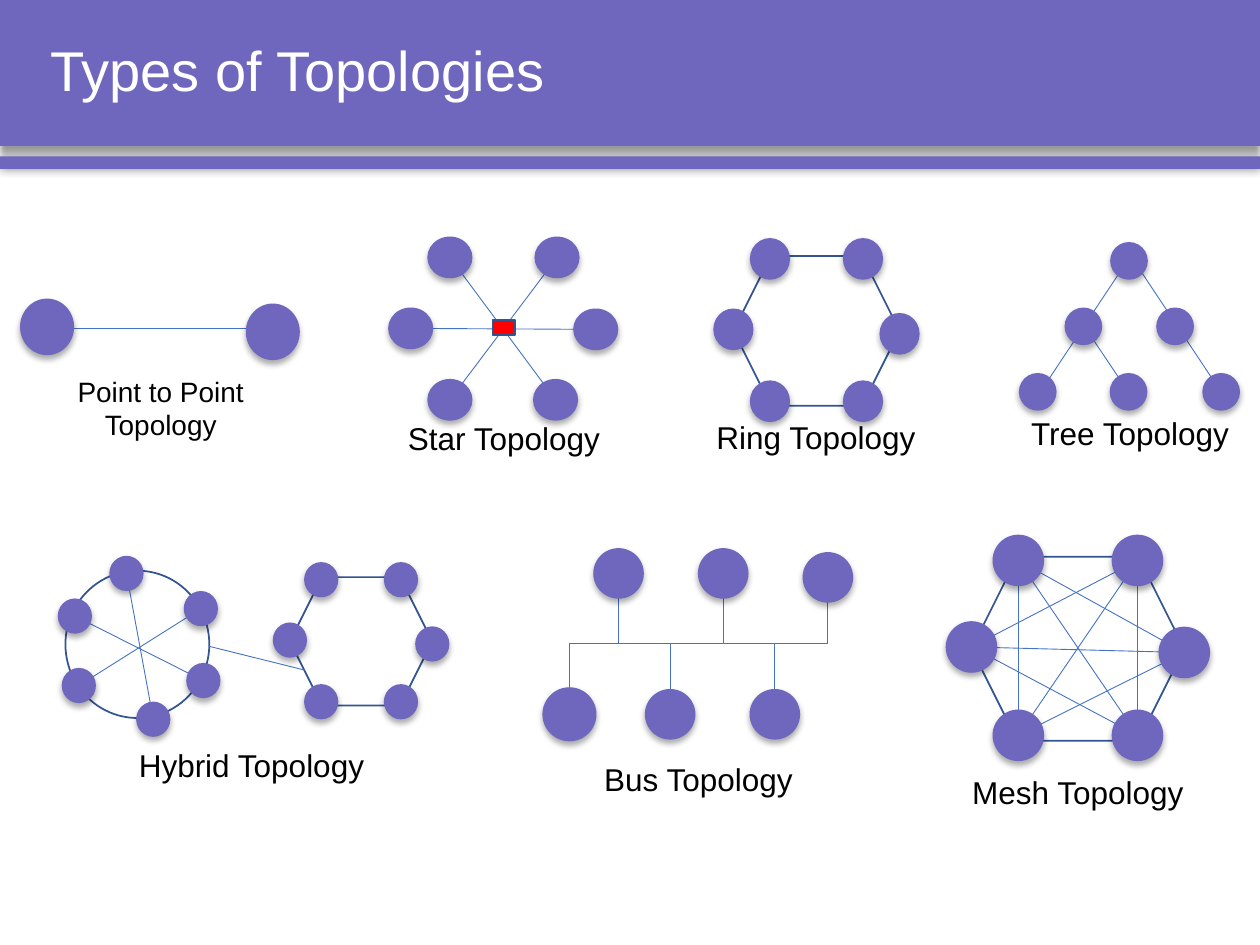
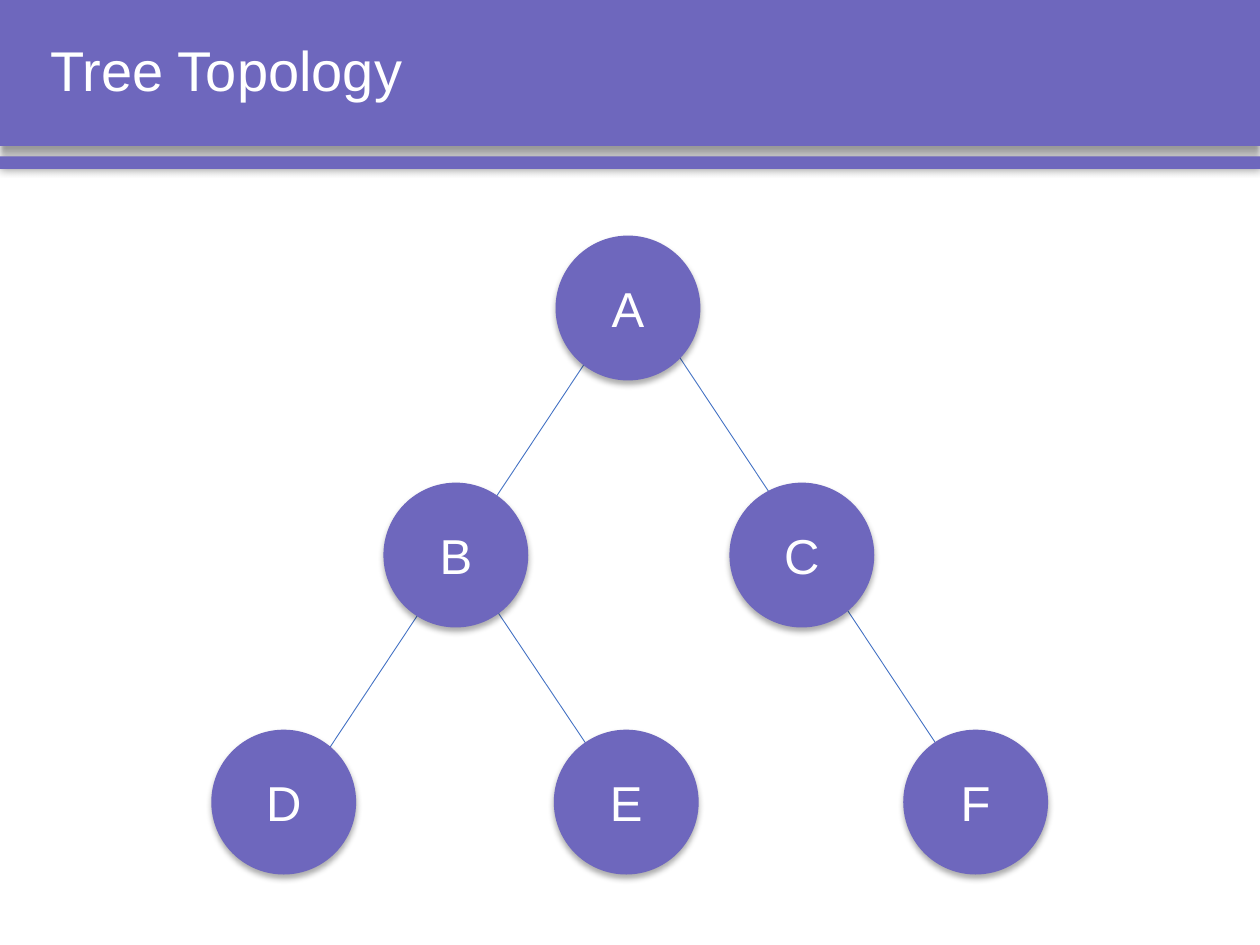
from dataclasses import dataclass
from itertools import combinations

from lxml import etree
from pptx import Presentation
from pptx import util as u
from pptx.dml.color import RGBColor
from pptx.enum import shapes, text
from pptx.oxml import ns


@dataclass(frozen=True)
class Theme:
    purple: str = "6E67BD"
    white: str = "FFFFFF"
    black: str = "000000"
    red: str = "FF0000"
    link: str = "4472C4"
    outline: str = "325491"
    font: str = "Arial"
    title_size: int = 32
    letter_size: int = 28
    label_size: int = 18
    small_label_size: int = 16
    # shadows: opacity %, blur pt, distance pt, direction in degrees
    band_shadow: tuple = (40, 4, 3, 90)
    stripe_shadow: tuple = (40, 5, 0, 0)
    node_shadow: tuple = (32, 3.5, 2.2, 90)


theme = Theme()
RECTANGLE = shapes.MSO_SHAPE.RECTANGLE
OVAL = shapes.MSO_SHAPE.OVAL
HEXAGON = shapes.MSO_SHAPE.HEXAGON
CENTER, LEFT = text.PP_ALIGN.CENTER, text.PP_ALIGN.LEFT


def add_figure(slide, kind, centre, size, fill=None, line=None, shadow=None,
               words="", points=18, color=theme.white, align=CENTER, spacing=1.0):
    """Place a shape by its centre and size in cm, with optional text."""
    left, top = (c - s / 2 for c, s in zip(centre, size))
    shape = slide.shapes.add_shape(kind, u.Cm(left), u.Cm(top), u.Cm(size[0]), u.Cm(size[1]))
    if fill:
        shape.fill.solid()
        shape.fill.fore_color.rgb = RGBColor.from_string(fill)
    else:
        shape.fill.background()
    if line:
        shape.line.color.rgb = RGBColor.from_string(line)
        shape.line.width = u.Pt(1)
    else:
        shape.line.fill.background()
    shape.shadow.inherit = False
    if shadow:
        opacity, blur, distance, direction = shadow
        effects = shape._element.spPr.find(ns.qn("a:effectLst"))
        outer = etree.SubElement(
            effects, ns.qn("a:outerShdw"), blurRad=str(u.Pt(blur)), dist=str(u.Pt(distance)),
            dir=str(direction * 60000), algn="ctr", rotWithShape="0")
        shade = etree.SubElement(outer, ns.qn("a:srgbClr"), val=theme.black)
        etree.SubElement(shade, ns.qn("a:alpha"), val=str(opacity * 1000))
    if words:
        frame = shape.text_frame
        frame.word_wrap = True
        frame.vertical_anchor = text.MSO_ANCHOR.MIDDLE
        paragraph = frame.paragraphs[0]
        paragraph.text = words
        paragraph.font.color.rgb = RGBColor.from_string(color)
        formats = {paragraph: {"alignment": align, "line_spacing": spacing},
                   paragraph.font: {"name": theme.font, "size": u.Pt(points)}}
        for target, values in formats.items():
            for name, value in values.items():
                setattr(target, name, value)
    return shape


def add_link(slide, start, end):
    """Draw a thin straight link between two points in cm."""
    ends = [u.Cm(value) for value in (*start, *end)]
    connector = slide.shapes.add_connector(shapes.MSO_CONNECTOR.STRAIGHT, *ends)
    connector.line.color.rgb = RGBColor.from_string(theme.link)
    connector.line.width = u.Pt(0.5)
    etree.SubElement(connector._element.spPr, ns.qn("a:effectLst"))


node_style = {"fill": theme.purple, "shadow": theme.node_shadow}

presentation = Presentation()
presentation.slide_width, presentation.slide_height = u.Cm(25.4), u.Cm(19.05)

# Slides with the shared header bands and title
slides = []
for title in ("Types of Topologies", "Tree Topology"):
    slide = presentation.slides.add_slide(presentation.slide_layouts[6])
    add_figure(slide, RECTANGLE, (12.7, 1.47), (25.4, 2.95), theme.purple,
               shadow=theme.band_shadow)
    add_figure(slide, RECTANGLE, (12.7, 3.28), (25.4, 0.25), theme.purple,
               shadow=theme.stripe_shadow)
    add_figure(slide, RECTANGLE, (12.78, 1.47), (24.03, 2.95), words=title,
               points=theme.title_size, align=LEFT, spacing=0.9)
    slides.append(slide)
overview, tree_slide = slides

# Labels under the diagrams
labels = [
    ("Point to Point Topology", (3.24, 8.22), 5.87, theme.small_label_size),
    ("Star Topology", (10.16, 8.83), 4.67, theme.label_size),
    ("Ring Topology", (16.45, 8.8), 4.65, theme.label_size),
    ("Tree Topology", (22.78, 8.72), 4.67, theme.label_size),
    ("Hybrid Topology", (5.07, 15.43), 5.21, theme.label_size),
    ("Bus Topology", (14.08, 15.71), 5.21, theme.label_size),
    ("Mesh Topology", (21.73, 15.96), 5.21, theme.label_size),
]
for words, centre, width, points in labels:
    add_figure(overview, RECTANGLE, centre, (width, 1.09), theme.white,
               words=words, points=points, color=theme.black)

# Point to point
add_link(overview, (0.95, 6.63), (5.5, 6.63))
for centre in ((0.95, 6.59), (5.5, 6.69)):
    add_figure(overview, OVAL, centre, (1.09, 1.14), **node_style)

# Star, and the wheel of the hybrid: links join opposite nodes
star_nodes = [(9.07, 5.19), (11.23, 5.19), (12.01, 6.64),
              (11.2, 8.06), (9.07, 8.06), (8.28, 6.62)]
wheel_nodes = [(2.55, 11.56), (4.05, 12.27), (4.1, 13.72),
               (3.09, 14.5), (1.59, 13.82), (1.51, 12.42)]
add_figure(overview, OVAL, (2.77, 12.99), (2.9, 2.97), line=theme.outline)
for nodes, node_size in ((star_nodes, (0.91, 0.84)), (wheel_nodes, (0.69, 0.71))):
    for start, end in zip(nodes[:3], nodes[3:]):
        add_link(overview, start, end)
    for centre in nodes:
        add_figure(overview, OVAL, centre, node_size, **node_style)
add_figure(overview, RECTANGLE, (10.16, 6.6), (0.46, 0.3), theme.red, theme.outline)

# Ring, ring of the hybrid, and mesh: nodes as fractions of the hexagon
corners = [(0.22, 0.02), (0.78, 0.02), (1, 0.52), (0.78, 0.97), (0.22, 0.97), (0, 0.49)]
hexagons = [  # centre, size, node size, meshed
    ((16.46, 6.67), (3.35, 3.02), (0.81, 0.84), False),
    ((7.28, 12.93), (2.87, 2.59), (0.69, 0.71), False),
    ((21.73, 13.08), (4.29, 3.71), (1.04, 1.04), True),
]
for centre, size, node_size, meshed in hexagons:
    add_figure(overview, HEXAGON, centre, size, line=theme.outline)
    nodes = [tuple(c + (f - 0.5) * s for c, f, s in zip(centre, corner, size))
             for corner in corners]
    for first, second in combinations(range(6), 2):
        if meshed and second - first not in (1, 5):
            add_link(overview, nodes[first], nodes[second])
    for node in nodes:
        add_figure(overview, OVAL, node, node_size, **node_style)

# Link between the two halves of the hybrid
add_link(overview, (4.22, 13.03), (6.15, 13.51))

# Bus: backbone with a drop to each node
backbone = 12.98
bus_nodes = [(12.47, 11.56, 1.02), (14.58, 11.56, 1.02), (16.69, 11.64, 1.02),
             (11.48, 14.4, 1.09), (13.51, 14.4, 1.02), (15.62, 14.4, 1.02)]
add_link(overview, (11.48, backbone), (16.69, backbone))
for x, y, diameter in bus_nodes:
    add_link(overview, (x, backbone), (x, y))
    add_figure(overview, OVAL, (x, y), (diameter, diameter), **node_style)

# Tree, small and large: nodes and branches in steps from the root
tree_nodes = {"A": (0, 0), "B": (-1, 1), "C": (1.01, 1),
              "D": (-2, 2), "E": (-0.01, 2), "F": (2.02, 2)}
branches = [((-2, 2.06), (0, -0.04)), ((-0.95, 1.03), (0.08, 2.1)), ((0.11, 0), (2.11, 2.1))]
trees = [  # slide, root, step, node diameter, lettered
    (overview, (22.76, 5.26), (0.92, 1.32), 0.76, False),
    (tree_slide, (12.66, 6.21), (3.47, 4.98), 2.92, True),
]
for slide, root, step, diameter, lettered in trees:
    for branch in branches:
        add_link(slide, *[[r + p * s for r, p, s in zip(root, point, step)]
                          for point in branch])
    for letter, place in tree_nodes.items():
        centre = [r + p * s for r, p, s in zip(root, place, step)]
        add_figure(slide, OVAL, centre, (diameter, diameter), **node_style,
                   words=letter if lettered else "", points=theme.letter_size)

presentation.save("out.pptx")
